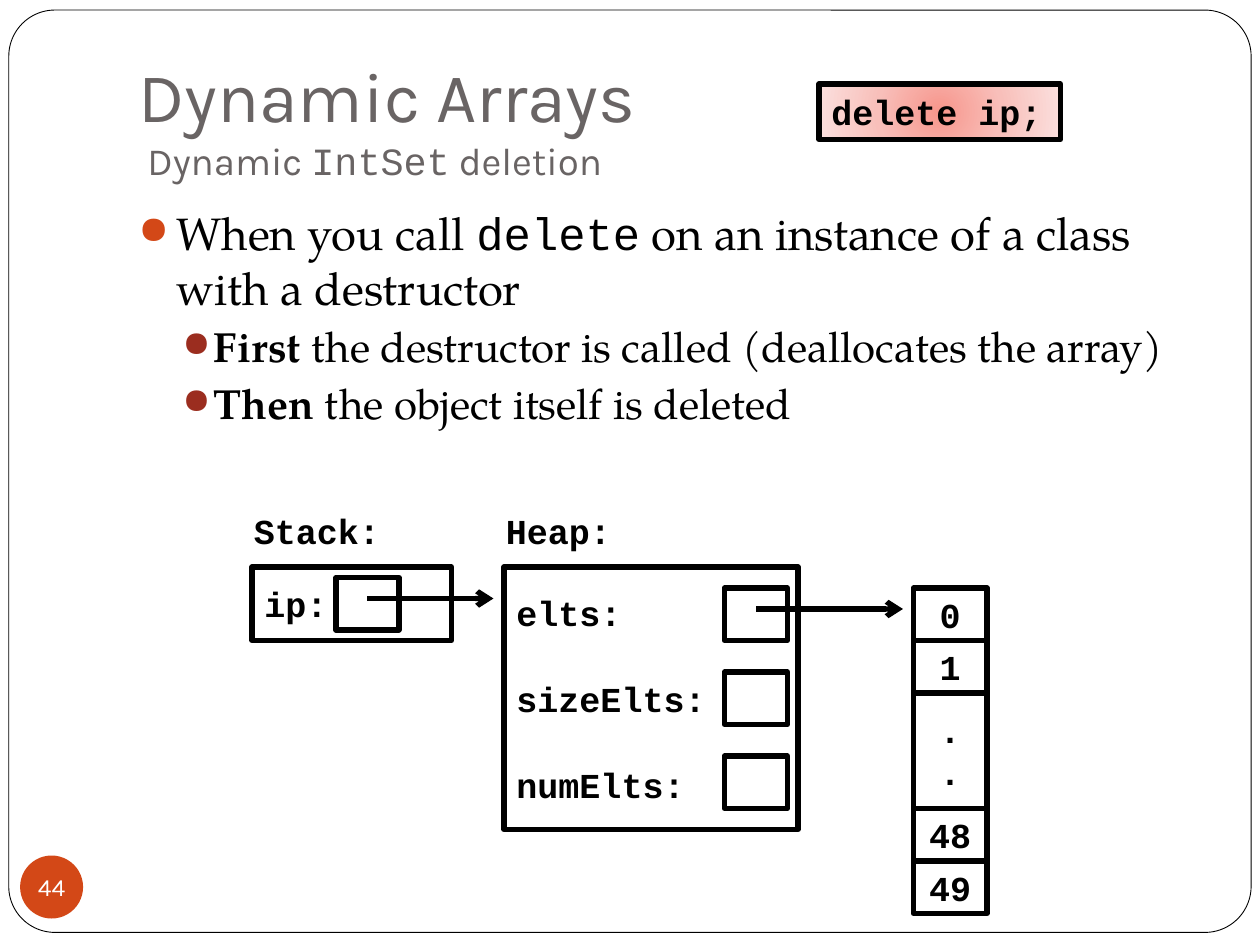
import pptx
import pptx.util
import pptx.dml.color
import pptx.enum.shapes
import pptx.enum.text
import pptx.oxml

MONO, SANS, SERIF = "Courier New", "Karla", "TeX Gyre Pagella"
BLACK, WHITE, GREY, RED, DARK = "000000", "FFFFFF", "696464", "D34817", "9B2D1F"
SHAPE = pptx.enum.shapes.MSO_SHAPE
MID = pptx.enum.text.MSO_ANCHOR.MIDDLE
LEFT, CENTER = pptx.enum.text.PP_ALIGN.LEFT, pptx.enum.text.PP_ALIGN.CENTER
NS = 'xmlns:a="http://schemas.openxmlformats.org/drawingml/2006/main"'

# Content: a run is (text, size, font, colour, bold)
TITLE = [("Dynamic Arrays\v", 40, SANS, GREY, False), (" Dynamic ", 22, SANS, GREY, False),
         ("IntSet", 22, MONO, GREY, False), (" deletion", 22, SANS, GREY, False)]
# Bullets: indent, hang, space before, bullet colour, runs
POINTS = [
    (0.3, 0.3, 5.8, RED, [("When you call ", 26, SERIF, BLACK, False),
                          ("delete", 26, MONO, BLACK, False),
                          (" on an instance of a class with a destructor",
                           26, SERIF, BLACK, False)]),
    (0.6, 0.25, 3.7, DARK, [("First", 24, SERIF, BLACK, True),
                            (" the destructor is called (deallocates the array)",
                             24, SERIF, BLACK, False)]),
    (0.6, 0.25, 3.7, DARK, [("Then", 24, SERIF, BLACK, True),
                            (" the object itself is deleted", 24, SERIF, BLACK, False)]),
]
# Diagram in grid units, 12 to the inch
HEADS = [("Stack:", 23), ("Heap:", 47)]
FIELDS = ["elts:", "sizeElts:", "numElts:"]
CELLS = [(["0"], 5), (["1"], 5), ([".", "."], 11), (["48"], 5), (["49"], 5)]
ARROWS = [(35, 57, 47), (72, 58, 86)]
GLOW = [(0, "F7968C"), (50, "F8BFBA"), (100, "FBE0DE")]

deck = pptx.Presentation()
deck.slide_width, deck.slide_height = pptx.util.Inches(10), pptx.util.Inches(7.5)
page = deck.slides.add_slide(deck.slide_layouts[6])


def rgb(code):
    return pptx.dml.color.RGBColor.from_string(code)


def inch(*vals):
    return [pptx.util.Inches(v) for v in vals]


def grid(*vals):
    return [pptx.util.Inches(v / 12) for v in vals]


def xml(text):
    return pptx.oxml.parse_xml(text)


def write(para, runs):
    for text, size, face, color, bold in runs:
        bits = text.split("\v")
        run = para.add_run()
        run.text = bits[0]
        font = run.font
        font.size, font.name, font.bold = pptx.util.Pt(size), face, bold
        font.color.rgb = rgb(color)
        if len(bits) > 1:
            para.add_line_break()
            brk = para._p.findall(pptx.oxml.ns.qn("a:br"))[-1]
            brk.append(xml(f'<a:rPr {NS} sz="{size * 100}"/>'))


def code(shape, lines, align=LEFT, gap=0):
    frame = shape.text_frame
    frame.vertical_anchor = MID
    for i, line in enumerate(lines):
        para = frame.add_paragraph() if i else frame.paragraphs[0]
        para.alignment = align
        para.space_before = pptx.util.Pt(gap if i else 0)
        write(para, [(line, 20, MONO, BLACK, True)])


def shape(kind, at, fill=None, line=None, width=3):
    item = page.shapes.add_shape(kind, *at)
    item.shadow.inherit = False
    if fill:
        item.fill.solid()
        item.fill.fore_color.rgb = rgb(fill)
    else:
        item.fill.background()
    if line:
        item.line.color.rgb = rgb(line)
        item.line.width = pptx.util.Pt(width)
    else:
        item.line.fill.background()
    item.text_frame.word_wrap = True
    return item


def box(*at):
    return shape(SHAPE.RECTANGLE, grid(*at), line=BLACK)


def label(at):
    item = page.shapes.add_textbox(*at)
    item.text_frame.word_wrap = True
    return item


# Frame, title and page number
edge = shape(SHAPE.ROUNDED_RECTANGLE, inch(0.07, 0.08, 9.86, 7.32), WHITE, BLACK, 0.5)
edge.adjustments[0] = 0.05
head = label(inch(1, 0.3, 8.5, 1.25)).text_frame
head.vertical_anchor = pptx.enum.text.MSO_ANCHOR.BOTTOM
head.margin_bottom = pptx.util.Inches(0.1)
write(head.paragraphs[0], TITLE)

disc = shape(SHAPE.OVAL, inch(0.16, 6.79, 0.5, 0.5), RED).text_frame
disc.margin_left = disc.margin_right = disc.margin_top = disc.margin_bottom = 0
disc.word_wrap, disc.vertical_anchor = False, MID
disc.paragraphs[0].alignment = CENTER
write(disc.paragraphs[0], [("44", 14, SANS, WHITE, False)])

# Bullets
body = label(inch(1, 1.58, 8.5, 5.25)).text_frame
for i, (left, hang, gap, color, runs) in enumerate(POINTS):
    para = body.add_paragraph() if i else body.paragraphs[0]
    para.level = 1 if i else 0
    para.space_before = pptx.util.Pt(gap)
    props = para._p.get_or_add_pPr()
    props.set("marL", str(pptx.util.Inches(left)))
    props.set("indent", str(-pptx.util.Inches(hang)))
    for part in (f'<a:buClr {NS}><a:srgbClr val="{color}"/></a:buClr>',
                 f'<a:buSzPct {NS} val="85000"/>', f'<a:buChar {NS} char="●"/>'):
        props.append(xml(part))
    write(para, runs)

# Statement with a round glow
call = box(78, 8, 23, 5.3)
code(call, ["delete ip;"])
stops = "".join(f'<a:gs pos="{pos * 1000}"><a:srgbClr val="{color}"/></a:gs>'
                for pos, color in GLOW)
glow = xml(f'<a:gradFill {NS} rotWithShape="1"><a:gsLst>{stops}</a:gsLst><a:path path="circle">'
           '<a:fillToRect l="50000" t="50000" r="50000" b="50000"/></a:path></a:gradFill>')
plain = call._element.spPr.find(pptx.oxml.ns.qn("a:noFill"))
plain.getparent().replace(plain, glow)

# Stack and heap
for text, left in HEADS:
    code(label(grid(left, 47, 15, 7)), [text])
code(box(24, 54, 19, 7), ["ip:"])
box(32, 55, 6, 5)
code(box(48, 54, 28, 25), FIELDS, gap=25)
for row in range(len(FIELDS)):
    box(69, 56 + 8 * row, 6, 5)

# Array cells
top = 56
for lines, tall in CELLS:
    code(box(87, top, 7, tall), lines, CENTER)
    top += tall

# Pointers
for start, level, end in ARROWS:
    line = page.shapes.add_connector(pptx.enum.shapes.MSO_CONNECTOR.STRAIGHT,
                                     *grid(start, level, end, level))
    line.line.color.rgb = rgb(BLACK)
    line.line.width = pptx.util.Pt(3)
    line.line._get_or_add_ln().append(xml(f'<a:tailEnd {NS} type="arrow"/>'))
    line._element.spPr.append(xml(f'<a:effectLst {NS}/>'))

deck.save("out.pptx")
